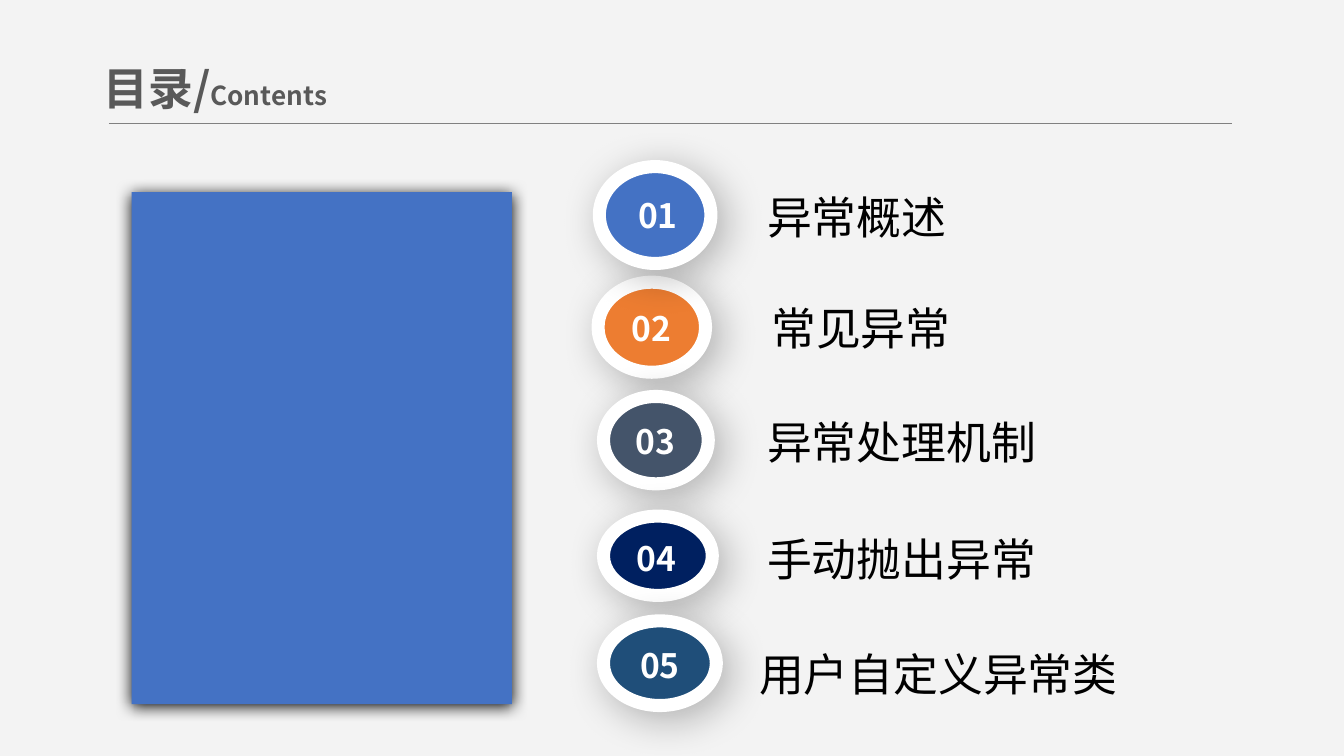
"""Build a contents slide with five numbered topics beside a colour panel."""
from dataclasses import dataclass

from lxml import etree
from pptx import Presentation
from pptx.dml.color import RGBColor
from pptx.enum.shapes import MSO_CONNECTOR, MSO_SHAPE
from pptx.enum.text import MSO_ANCHOR, MSO_AUTO_SIZE, PP_ALIGN
from pptx.oxml.ns import qn
from pptx.util import Inches, Pt

OVAL, RECT = MSO_SHAPE.OVAL, MSO_SHAPE.RECTANGLE
STRAIGHT = MSO_CONNECTOR.STRAIGHT
LEFT, CENTER = PP_ALIGN.LEFT, PP_ALIGN.CENTER
MIDDLE = MSO_ANCHOR.MIDDLE
NO_FIT, GROW = MSO_AUTO_SIZE.NONE, MSO_AUTO_SIZE.SHAPE_TO_FIT_TEXT
FONT = "Noto Sans CJK SC"
WHITE, BLACK, BLUE, GREY = "FFFFFF", "000000", "4472C4", "595959"

Box = tuple[float, float, float, float]


@dataclass
class Shadow:
    alpha: int
    blur: float
    dist: float
    angle: int


@dataclass
class Topic:
    number: str
    name: str
    color: str
    badge: Box
    number_box: Box
    name_box: Box


BADGE_SHADOW = Shadow(28, 22, 6, 45)
PANEL_SHADOW = Shadow(100, 8.5, 1, 90)
TOPICS = [
    Topic("02", "常见异常", "ED7D31", (4.45, 2.1, 0.8, 0.67),
          (4.54, 2.25, 0.61, 0.38), (5.64, 2.19, 2.49, 0.5)),
    Topic("01", "异常概述", BLUE, (4.46, 1.24, 0.83, 0.72),
          (4.58, 1.41, 0.63, 0.38), (5.61, 1.36, 2.83, 0.5)),
    Topic("03", "异常处理机制", "44546A", (4.49, 2.95, 0.78, 0.65),
          (4.58, 3.09, 0.59, 0.31), (5.61, 3.04, 2.46, 0.5)),
    Topic("04", "手动抛出异常", "002060", (4.49, 3.84, 0.81, 0.59),
          (4.58, 3.96, 0.61, 0.28), (5.61, 3.91, 2.36, 0.5)),
    Topic("05", "用户自定义异常类", "1F4E79", (4.49, 4.62, 0.84, 0.63),
          (4.59, 4.76, 0.64, 0.38), (5.55, 4.76, 3, 0.5)),
]


def rgb(color: str) -> RGBColor:
    return RGBColor.from_string(color)


def inches(box: Box) -> list[Inches]:
    return [Inches(v) for v in box]


def style(p, color: str, bold: bool, align=LEFT) -> None:
    p.alignment = align
    p.font.name = FONT
    p.font.bold = bold
    p.font.color.rgb = rgb(color)
    props = p._p.pPr.find(qn("a:defRPr"))
    etree.SubElement(props, qn("a:ea"), typeface=FONT)


def add_shadow(sp, shadow: Shadow) -> None:
    sp.shadow.inherit = False
    effects = sp._element.spPr.find(qn("a:effectLst"))
    outer = etree.SubElement(
        effects, qn("a:outerShdw"), blurRad=str(Pt(shadow.blur)),
        dist=str(Pt(shadow.dist)), dir=str(shadow.angle * 60000),
        algn="ctr", rotWithShape="0")
    color = etree.SubElement(outer, qn("a:srgbClr"), val=BLACK)
    etree.SubElement(color, qn("a:alpha"), val=str(shadow.alpha * 1000))


def add_block(shapes, kind, box: Box, fill: str, shadow: Shadow):
    sp = shapes.add_shape(kind, *inches(box))
    sp.fill.solid()
    sp.fill.fore_color.rgb = rgb(fill)
    sp.line.fill.background()
    add_shadow(sp, shadow)
    return sp


def add_text(shapes, box: Box, text: str, size: int, color: str,
             bold: bool = False, align=LEFT):
    tf = shapes.add_textbox(*inches(box)).text_frame
    tf.word_wrap = True
    tf.auto_size = GROW
    p = tf.paragraphs[0]
    p.text = text
    style(p, color, bold, align)
    p.font.size = Pt(size)
    return tf


def add_topic(shapes, topic: Topic) -> None:
    group = shapes.add_group_shape().shapes
    badge = add_block(group, OVAL, topic.badge, topic.color, BADGE_SHADOW)
    badge.line.color.rgb = rgb(WHITE)
    badge.line.width = Pt(7)
    tf = add_text(group, topic.number_box, topic.number, 18, WHITE, True, CENTER)
    tf.margin_left = tf.margin_right = Inches(0.07)
    tf.margin_top = tf.margin_bottom = Inches(0.04)
    add_text(shapes, topic.name_box, topic.name, 24, BLACK)


def set_title(title) -> None:
    title.left, title.top, title.width, title.height = inches((0.67, 0.38, 2.47, 0.54))
    tf = title.text_frame
    tf.auto_size = NO_FIT
    tf.vertical_anchor = MIDDLE
    p = tf.paragraphs[0]
    for text, size in (("目录/", 24), ("Contents", 14)):
        r = p.add_run()
        r.text = text
        r.font.size = Pt(size)
    style(p, GREY, True)


def add_rule(shapes) -> None:
    line = shapes.add_connector(STRAIGHT, *inches((0.81, 0.92, 9.17, 0.92)))
    line.line.color.rgb = rgb("808080")
    line.line.width = Pt(0.5)
    etree.SubElement(line._element.spPr, qn("a:effectLst"))


def main() -> None:
    prs = Presentation()
    prs.slide_width = Inches(10)
    prs.slide_height = Inches(10 * 9 / 16)
    s = prs.slides.add_slide(prs.slide_layouts[5])
    s.background.fill.solid()
    s.background.fill.fore_color.rgb = rgb("F3F3F3")
    set_title(s.shapes.title)
    add_rule(s.shapes)
    for topic in TOPICS:
        add_topic(s.shapes, topic)
    add_block(s.shapes, RECT, (0.98, 1.43, 2.83, 3.81), BLUE, PANEL_SHADOW)
    prs.save("out.pptx")


if __name__ == "__main__":
    main()
